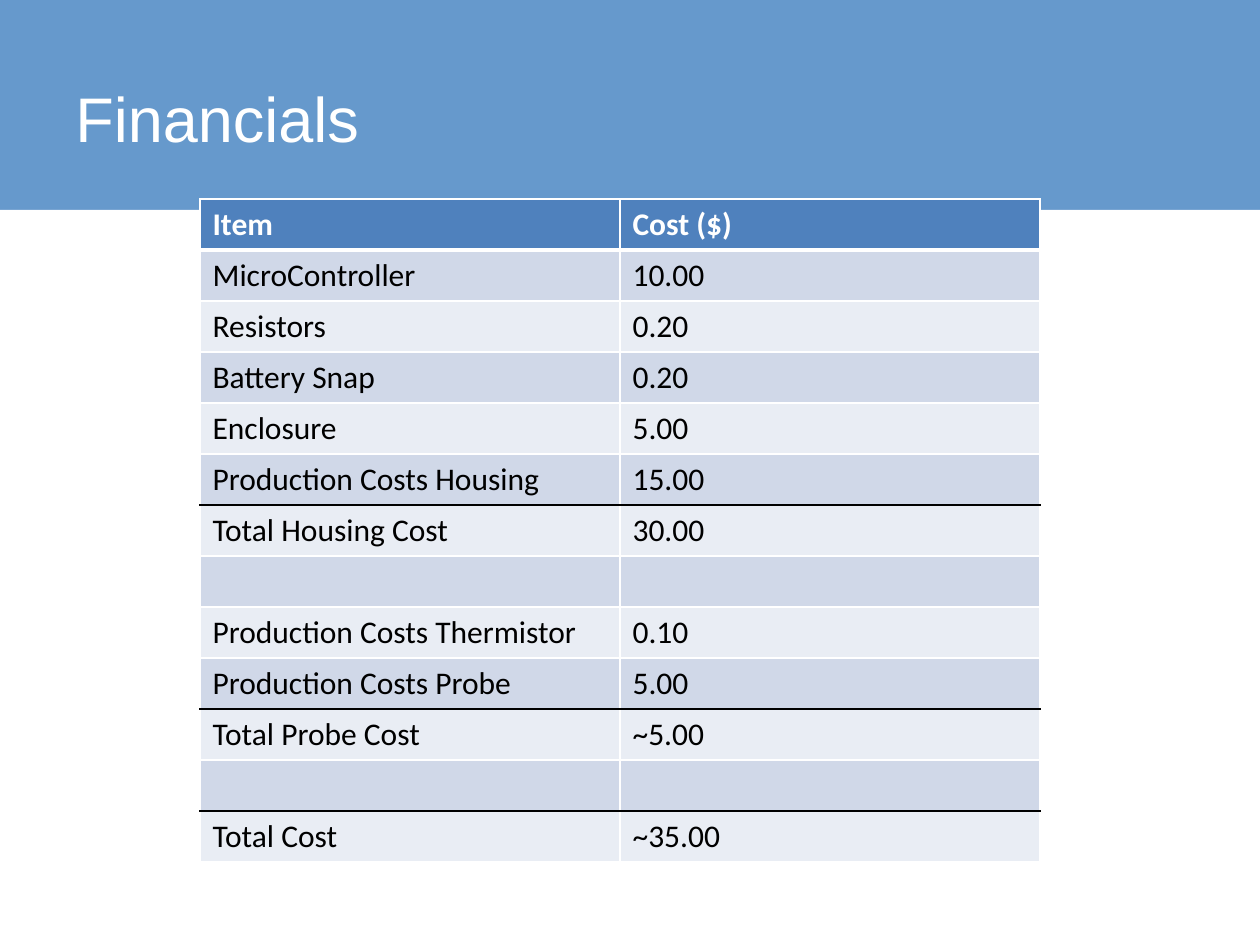
from lxml.etree import SubElement
from pptx import Presentation
from pptx.dml.color import RGBColor
from pptx.enum.shapes import MSO_SHAPE as Shape
from pptx.enum.text import MSO_ANCHOR as Anchor
from pptx.oxml.ns import qn
from pptx.util import Emu, Pt

PX = 914400 // 126

BLUE = RGBColor(0x66, 0x99, 0xCC)
HEADER = RGBColor(0x4F, 0x81, 0xBD)
BAND_DARK = RGBColor(0xD0, 0xD8, 0xE8)
BAND_LIGHT = RGBColor(0xE9, 0xED, 0xF4)
WHITE = RGBColor(0xFF, 0xFF, 0xFF)
BLACK = RGBColor(0x00, 0x00, 0x00)

THIN_WHITE = (WHITE, 1)
THICK_WHITE = (WHITE, 3)
THIN_BLACK = (BLACK, 1)

COSTS = [
    ("Item", "Cost ($)"),
    ("MicroController", "10.00"),
    ("Resistors", "0.20"),
    ("Battery Snap", "0.20"),
    ("Enclosure", "5.00"),
    ("Production Costs Housing", "15.00"),
    ("Total Housing Cost", "30.00"),
    ("", ""),
    ("Production Costs Thermistor", "0.10"),
    ("Production Costs Probe", "5.00"),
    ("Total Probe Cost", "~5.00"),
    ("", ""),
    ("Total Cost", "~35.00"),
]


def px(*lengths):
    return [Emu(length * PX) for length in lengths]


def add_span(para, text, font, size, color, bold=False):
    span = para.add_run()
    span.text = text
    span.font.name = font
    span.font.size = Pt(size)
    span.font.color.rgb = color
    span.font.bold = bold


def add_panel(page, left, top, width, height, color):
    panel = page.shapes.add_shape(Shape.RECTANGLE, *px(left, top, width, height))
    panel.shadow.inherit = False
    panel.fill.solid()
    panel.fill.fore_color.rgb = color
    panel.line.fill.background()


def add_title(page, text, left, top, width, height):
    box = page.shapes.add_textbox(*px(left, top, width, height))
    frame = box.text_frame
    frame.word_wrap = True
    frame.vertical_anchor = Anchor.MIDDLE
    add_span(frame.paragraphs[0], text, "Arial", 36, WHITE)


def set_border(cell, side, border):
    color, width = border
    line = SubElement(cell._tc.get_or_add_tcPr(), qn(f"a:ln{side}"), w=str(Pt(width)))
    fill = SubElement(line, qn("a:solidFill"))
    SubElement(fill, qn("a:srgbClr"), val=str(color))


def bottom_border(row):
    if row == 0:
        return THICK_WHITE
    if row + 1 < len(COSTS) and COSTS[row + 1][0].startswith("Total"):
        return THIN_BLACK
    return THIN_WHITE


def style_cell(cell, row, text):
    top = bottom_border(row - 1) if row else THIN_WHITE
    borders = {"L": THIN_WHITE, "R": THIN_WHITE, "T": top, "B": bottom_border(row)}
    for side, border in borders.items():
        set_border(cell, side, border)
    header = row == 0
    cell.fill.solid()
    cell.fill.fore_color.rgb = HEADER if header else BAND_DARK if row % 2 else BAND_LIGHT
    para = cell.text_frame.paragraphs[0]
    para.font.size = Pt(18)
    if text:
        add_span(para, text, "Calibri", 18, WHITE if header else BLACK, header)


def add_cost_table(page, left, top, width, row_height):
    rows, columns = len(COSTS), len(COSTS[0])
    frame = page.shapes.add_table(rows, columns, *px(left, top, width, row_height * rows))
    for row, texts in enumerate(COSTS):
        for column, text in enumerate(texts):
            style_cell(frame.table.cell(row, column), row, text)


def main():
    deck = Presentation()
    deck.slide_width, deck.slide_height = px(1260, 945)
    page = deck.slides.add_slide(deck.slide_layouts[6])
    page.background.fill.solid()
    page.background.fill.fore_color.rgb = BLUE
    add_panel(page, 0, 210, 1260, 735, WHITE)
    add_title(page, "Financials", 63, 38, 1134, 158)
    add_cost_table(page, 200, 199, 840, 51)
    deck.save("out.pptx")


if __name__ == "__main__":
    main()
